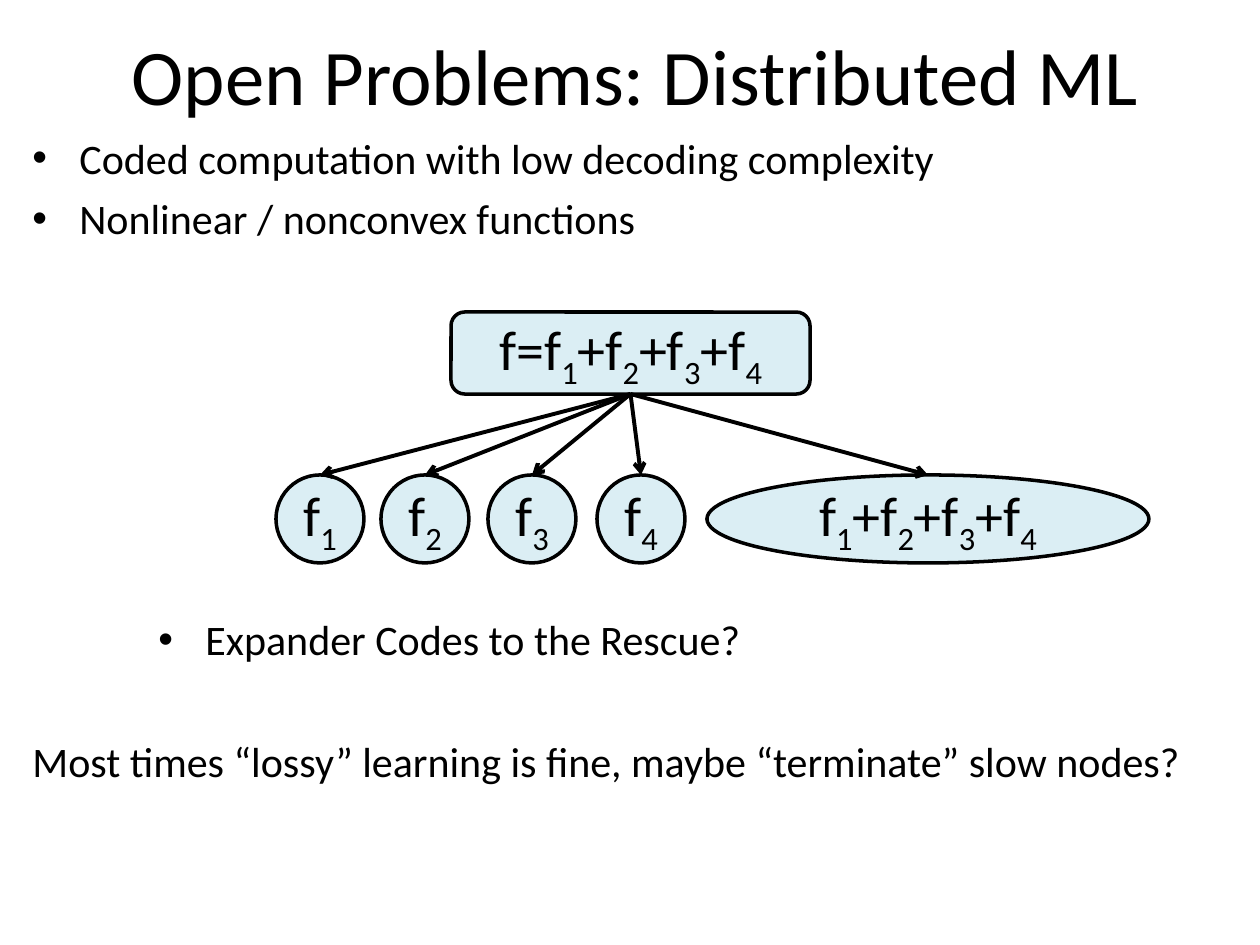
from lxml import etree
from pptx import Presentation
from pptx.dml.color import RGBColor
from pptx.enum.shapes import MSO_CONNECTOR, MSO_SHAPE
from pptx.enum.text import MSO_ANCHOR, PP_ALIGN
from pptx.oxml.ns import qn
from pptx.util import Pt

BLACK = RGBColor(0x00, 0x00, 0x00)
PALE_BLUE = RGBColor(0xDB, 0xEE, 0xF4)
ROUND_RECT, ELLIPSE = MSO_SHAPE.ROUNDED_RECTANGLE, MSO_SHAPE.OVAL
STRAIGHT = MSO_CONNECTOR.STRAIGHT
CENTER, MIDDLE = PP_ALIGN.CENTER, MSO_ANCHOR.MIDDLE
BOTTOM_SITE, TOP_SITE = 2, 0
BULLET_INDENT = 47


def px(n):
    """Turn pixels, 126 to the inch, into EMU."""
    return round(n * 914400 / 126)


class Deck:
    font = "Calibri"

    def __init__(self, prs):
        self.s = prs.slides.add_slide(prs.slide_layouts[5])

    def style(self, font, size):
        font.name, font.size, font.color.rgb = self.font, Pt(size), BLACK

    def title(self, text, x, y, w, h, size):
        sp = self.s.shapes.title
        sp.left, sp.top, sp.width, sp.height = map(px, (x, y, w, h))
        tf = sp.text_frame
        tf.text = text
        tf.vertical_anchor = MIDDLE
        p = tf.paragraphs[0]
        p.alignment = CENTER
        self.style(p.runs[0].font, size)

    def body(self, items, x, y, w, h, size):
        """Add paragraphs given as (text, bullet margin or None, points before)."""
        tf = self.s.shapes.add_textbox(*map(px, (x, y, w, h))).text_frame
        tf.word_wrap = True
        for i, (text, margin, before) in enumerate(items):
            p = tf.paragraphs[0] if i == 0 else tf.add_paragraph()
            p.text = text
            p.line_spacing = 1.2
            if before:
                p.space_before = Pt(before)
            if margin is not None:
                self.bullet(p, margin)
            self.style(p.runs[0].font, size)

    def bullet(self, p, margin):
        pPr = p._p.get_or_add_pPr()
        pPr.set("marL", str(px(margin)))
        pPr.set("indent", str(-px(BULLET_INDENT)))
        etree.SubElement(pPr, qn("a:buFont")).set("typeface", "Arial")
        etree.SubElement(pPr, qn("a:buChar")).set("char", "•")

    def node(self, kind, terms, x, y, w, h, prefix=""):
        """Add a shape labelled with the sum of f terms, indices as subscripts."""
        sp = self.s.shapes.add_shape(kind, *map(px, (x, y, w, h)))
        sp.shadow.inherit = False
        sp.fill.solid()
        sp.fill.fore_color.rgb = PALE_BLUE
        sp.line.color.rgb, sp.line.width = BLACK, Pt(2)
        tf = sp.text_frame
        tf.margin_left = tf.margin_right = 0
        tf.vertical_anchor = MIDDLE
        p = tf.paragraphs[0]
        p.alignment = CENTER
        for i, term in enumerate(terms):
            for text, base in (("+f" if i else prefix + "f", 0), (str(term), -25000)):
                r = p.add_run()
                r.text = text
                self.style(r.font, 32)
                if base:
                    r.font._element.set("baseline", str(base))
        return sp

    def arrow(self, start, end):
        c = self.s.shapes.add_connector(STRAIGHT, 0, 0, 0, 0)
        c.begin_connect(start, BOTTOM_SITE)
        c.end_connect(end, TOP_SITE)
        c.line.color.rgb, c.line.width = BLACK, Pt(2.25)
        etree.SubElement(c.line._get_or_add_ln(), qn("a:tailEnd")).set("type", "arrow")
        etree.SubElement(c._element.spPr, qn("a:effectLst"))


def main():
    prs = Presentation()
    prs.slide_width, prs.slide_height = px(1260), px(945)
    deck = Deck(prs)
    deck.title("Open Problems: Distributed ML", 5, -28, 1260, 203, 45)
    deck.body([
        ("Coded computation with low decoding complexity", BULLET_INDENT, 0),
        ("Nonlinear / nonconvex functions", BULLET_INDENT, 0),
        ("Expander Codes to the Rescue?", 126 + BULLET_INDENT, 206),
        ("Most times “lossy” learning is fine, maybe “terminate” slow nodes?", None, 35),
    ], 20, 116, 1240, 988, 24)

    terms = (1, 2, 3, 4)
    root = deck.node(ROUND_RECT, terms, 451, 312, 359, 82, prefix="f=")
    top, size = 475, 88
    workers = [deck.node(ELLIPSE, (term,), x, top, size, size)
               for term, x in zip(terms, (276, 381, 488, 597))]
    workers.append(deck.node(ELLIPSE, terms, 707, top, 442, size))
    for worker in workers:
        deck.arrow(root, worker)
    prs.save("out.pptx")


if __name__ == "__main__":
    main()
